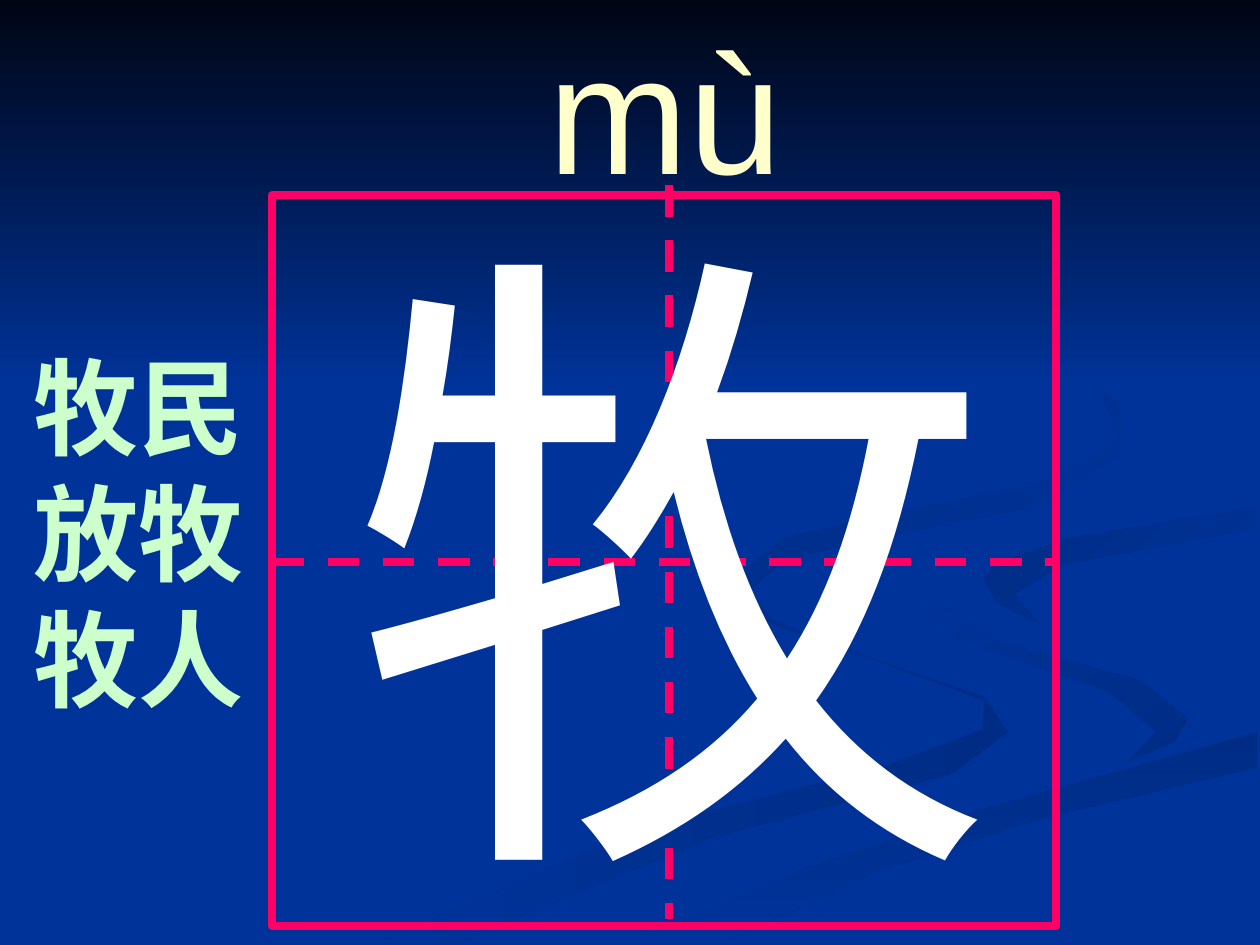
import pptx
import pptx.dml.color
import pptx.enum.dml
import pptx.enum.shapes
import pptx.util
from dataclasses import dataclass
from lxml import etree
from pptx.util import Cm, Pt


@dataclass(frozen=True)
class Theme:
    blue: str = "003399"
    night: str = "000514"
    shade: str = "002C85"
    grid: str = "FF0066"
    character: str = "FFFFFF"
    words: str = "CCFFCC"
    pinyin: str = "FFFFCC"
    character_size: int = 370
    words_size: int = 60
    pinyin_size: int = 96
    grid_width: float = 4.5


THEME = Theme()
RIBBON_UNIT = Cm(0.0254)

# Background ribbons: start colour, end colour, clockwise angle, outline points
RIBBONS = [
    (THEME.shade, THEME.blue, 180, [
        (781, 553), (682, 519), (594, 485), (574, 464), (581, 483), (697, 525),
        (781, 556), (780, 579), (699, 609), (499, 661), (300, 749), (361, 749),
        (564, 665), (756, 614), (800, 581)]),
    (THEME.shade, THEME.blue, 225, [
        (943, 570), (905, 540), (792, 509), (724, 464), (755, 505), (880, 549),
        (918, 581), (894, 605), (932, 589)]),
    (THEME.shade, THEME.blue, 90, [
        (503, 749), (571, 749), (695, 692), (821, 651), (998, 609), (998, 581),
        (764, 647), (630, 693)]),
    (THEME.blue, THEME.shade, 225, [
        (781, 460), (791, 478), (826, 496), (805, 472), (843, 448), (998, 420),
        (998, 402), (849, 427), (791, 447)]),
    (THEME.blue, THEME.shade, 225, [
        (683, 430), (825, 402), (889, 362), (890, 324), (843, 275), (762, 233),
        (870, 299), (886, 348), (842, 378), (625, 426), (577, 462), (622, 500),
        (593, 470), (624, 444)]),
]


def rgb(value):
    return pptx.dml.color.RGBColor.from_string(value)


def paint_gradient(shape, start, end, angle):
    """Fill a borderless shape with a gradient turned clockwise."""
    shape.shadow.inherit = False
    shape.line.fill.background()
    shape.fill.gradient()
    shape.fill.gradient_angle = 360 - angle
    for stop, color, position in zip(shape.fill.gradient_stops, (start, end), (0, 1)):
        stop.color.rgb = rgb(color)
        stop.position = position


def add_ribbon(slide, start, end, angle, points):
    builder = slide.shapes.build_freeform(*points[0], scale=RIBBON_UNIT)
    builder.add_line_segments(points[1:], close=True)
    paint_gradient(builder.convert_to_shape(), start, end, angle)


def add_rectangle(slide, *box):
    return slide.shapes.add_shape(
        pptx.enum.shapes.MSO_SHAPE.RECTANGLE, *map(Cm, box))


def format_grid_line(line):
    line.color.rgb = rgb(THEME.grid)
    line.width = Pt(THEME.grid_width)


def add_dashed_line(slide, *ends):
    connector = slide.shapes.add_connector(
        pptx.enum.shapes.MSO_CONNECTOR.STRAIGHT, *map(Cm, ends))
    format_grid_line(connector.line)
    connector.line.dash_style = pptx.enum.dml.MSO_LINE.DASH
    etree.SubElement(connector._element.spPr, pptx.oxml.ns.qn("a:effectLst"))


def add_text(slide, text, *, box, size, color, font="Arial", bold=False, wrap=True):
    text_frame = slide.shapes.add_textbox(*map(Cm, box)).text_frame
    text_frame.word_wrap = wrap
    run = text_frame.paragraphs[0].add_run()
    run.text = text
    run.font.name = font
    run.font.size = Pt(size)
    run.font.bold = bold
    run.font.color.rgb = rgb(color)


def add_background(slide):
    slide.background.fill.solid()
    slide.background.fill.fore_color.rgb = rgb(THEME.blue)
    for ribbon in RIBBONS:
        add_ribbon(slide, *ribbon)
    sky = add_rectangle(slide, 0, 0, 25.4, 7.82)
    paint_gradient(sky, THEME.night, THEME.blue, 90)


def add_writing_grid(slide):
    frame = add_rectangle(slide, 5.49, 3.94, 15.8, 14.73)
    frame.shadow.inherit = False
    frame.fill.background()
    format_grid_line(frame.line)
    add_dashed_line(slide, 5.49, 11.33, 21.31, 11.33)
    add_dashed_line(slide, 13.49, 3.73, 13.49, 18.52)


def main():
    presentation = pptx.Presentation()
    presentation.slide_width, presentation.slide_height = Cm(25.4), Cm(19.05)
    slide = presentation.slides.add_slide(presentation.slide_layouts.get_by_name("Blank"))

    add_background(slide)
    add_writing_grid(slide)

    # Character, example words and pronunciation
    add_text(slide, "牧", box=(6.78, 3.12, 13.06, 15.93), size=THEME.character_size,
             color=THEME.character, font="Times New Roman")
    add_text(slide, "牧民放牧牧人", box=(0.43, 6.78, 5.21, 7.87), size=THEME.words_size,
             color=THEME.words, bold=True)
    add_text(slide, "mù", box=(10.8, 0, 6.15, 4.32), size=THEME.pinyin_size,
             color=THEME.pinyin, wrap=False)

    presentation.save("out.pptx")


if __name__ == "__main__":
    main()
